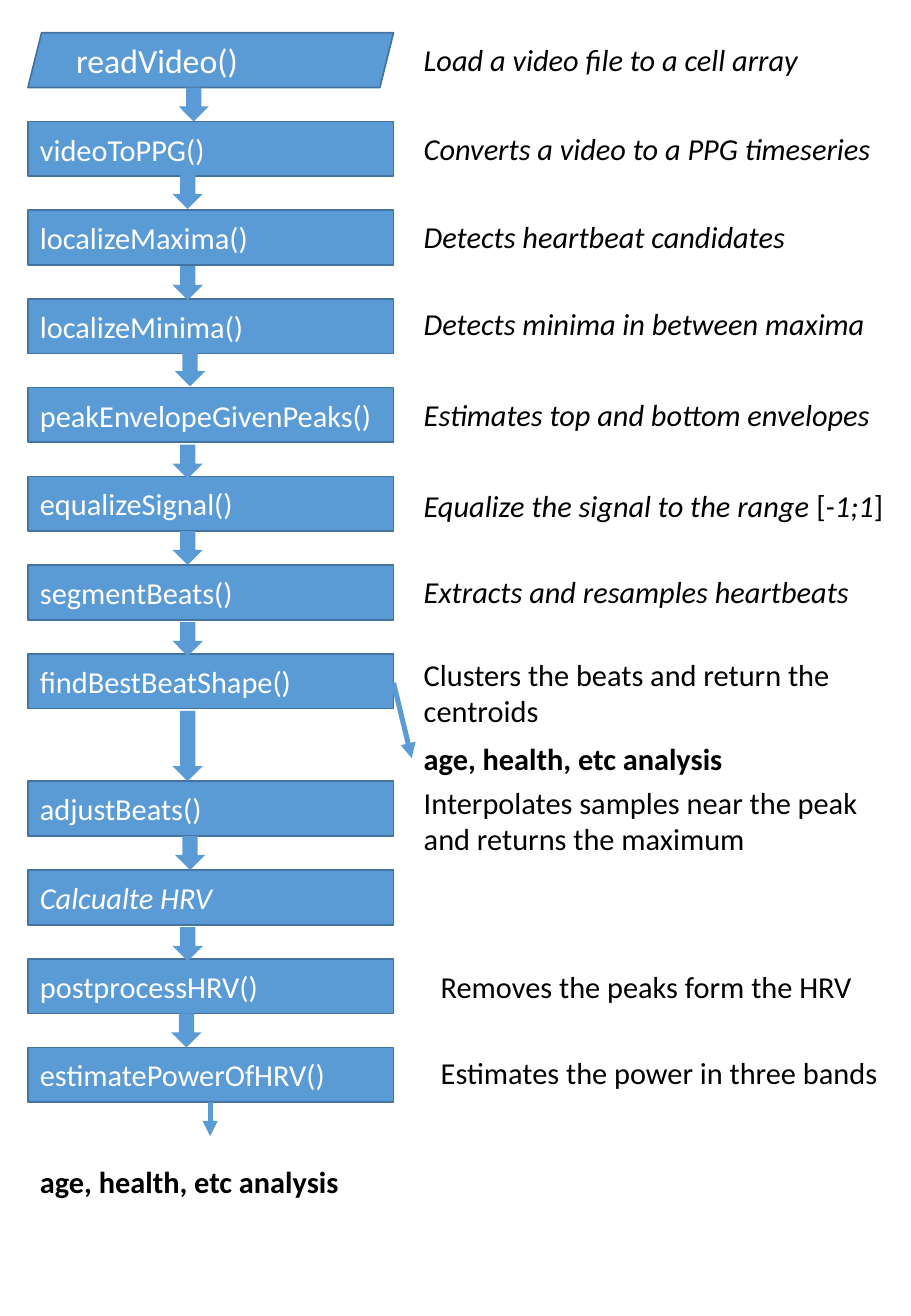
from dataclasses import dataclass

from lxml import etree
from pptx import Presentation
from pptx.dml.color import RGBColor
from pptx.enum.shapes import MSO_CONNECTOR, MSO_SHAPE
from pptx.enum.text import MSO_ANCHOR, MSO_AUTO_SIZE, PP_ALIGN
from pptx.oxml.ns import qn
from pptx.util import Inches, Pt

RECTANGLE = MSO_SHAPE.RECTANGLE
PARALLELOGRAM = MSO_SHAPE.PARALLELOGRAM
DOWN_ARROW = MSO_SHAPE.DOWN_ARROW
STRAIGHT = MSO_CONNECTOR.STRAIGHT
MIDDLE = MSO_ANCHOR.MIDDLE
TOP = MSO_ANCHOR.TOP
GROW = MSO_AUTO_SIZE.SHAPE_TO_FIT_TEXT
LEFT = PP_ALIGN.LEFT
JUSTIFY = PP_ALIGN.JUSTIFY

SLIDE_WIDTH, SLIDE_HEIGHT = Inches(7.5), Inches(10.83)
GRID_COLUMNS, GRID_ROWS = 750, 1083
FONT = "Calibri"
BLUE, OUTLINE, WHITE, BLACK = "5B9BD5", "43739E", "FFFFFF", "000000"

STEP_LEFT, STEP_WIDTH, STEP_HEIGHT = 23, 301, 45
FIRST_TOP, STEP_PITCH = 27, 73
BRANCH_INDEX, BRANCH_GAP = 7, 32
ARROW_WIDTH = 25
CAPTION_LEFT, LABEL_WIDTH, LINE_HEIGHT = 339, 331, 40


@dataclass(frozen=True)
class Run:
    text: str
    italic: bool = False
    bold: bool = False
    size: int = 18


@dataclass(frozen=True)
class Caption:
    runs: tuple[Run, ...]
    shift: int = 2
    left: int = CAPTION_LEFT
    width: int = 401
    height: int = LINE_HEIGHT


@dataclass(frozen=True)
class Step:
    name: Run
    caption: Caption | None
    arrow_left: int = 142
    arrow_shift: int = 0
    shape_type: MSO_SHAPE = RECTANGLE


@dataclass(frozen=True)
class Label:
    text: str
    left: int
    top: int


@dataclass(frozen=True)
class Link:
    start: tuple[int, int]
    end: tuple[int, int]


def italic_caption(text: str, shift: int = 2) -> Caption:
    return Caption((Run(text, italic=True),), shift)


def plain_caption(text: str, shift: int, left: int = CAPTION_LEFT,
                  width: int = 419, height: int = LINE_HEIGHT) -> Caption:
    return Caption((Run(text),), shift, left, width, height)


RANGE_CAPTION = Caption((
    Run("Equalize the signal to the range ", italic=True),
    Run("["),
    Run("-1;1", italic=True),
    Run("]"),
), shift=4)

STEPS = (
    Step(Run("readVideo()", size=20), italic_caption("Load a video file to a cell array"),
         147, shape_type=PARALLELOGRAM),
    Step(Run("videoToPPG()"), italic_caption("Converts a video to a PPG timeseries"),
         arrow_shift=-1),
    Step(Run("localizeMaxima()"), italic_caption("Detects heartbeat candidates"),
         arrow_shift=1),
    Step(Run("localizeMinima()"), italic_caption("Detects minima in between maxima", 0),
         144, -1),
    Step(Run("peakEnvelopeGivenPeaks()"),
         italic_caption("Estimates top and bottom envelopes"), arrow_shift=2),
    Step(Run("equalizeSignal()"), RANGE_CAPTION),
    Step(Run("segmentBeats()"), italic_caption("Extracts and resamples heartbeats"),
         arrow_shift=2),
    Step(Run("findBestBeatShape()"),
         plain_caption("Clusters the beats and return the centroids", -3,
                       width=411, height=71), arrow_shift=2),
    Step(Run("adjustBeats()"),
         plain_caption("Interpolates samples near the peak and returns the maximum", -3,
                       height=71), 144),
    Step(Run("Calcualte HRV", italic=True), None, arrow_shift=2),
    Step(Run("postprocessHRV()"),
         plain_caption("Removes the peaks form the HRV", 3, 353), 141),
    Step(Run("estimatePowerOfHRV()"),
         plain_caption("Estimates the power in three bands", 1, 353)),
)
LABELS = (
    Label("age, health, etc analysis", STEP_LEFT, 952),
    Label("age, health, etc analysis", CAPTION_LEFT, 604),
)
LINKS = (
    Link((173, 907), (173, 935)),
    Link((STEP_LEFT + STEP_WIDTH, 562), (CAPTION_LEFT, 624)),
)


def columns(count: int) -> int:
    return round(SLIDE_WIDTH * count / GRID_COLUMNS)


def rows(count: int) -> int:
    return round(SLIDE_HEIGHT * count / GRID_ROWS)


def color(value: str) -> RGBColor:
    return RGBColor.from_string(value)


def step_top(index: int) -> int:
    gap = BRANCH_GAP if index > BRANCH_INDEX else 0
    return FIRST_TOP + STEP_PITCH * index + gap


def write_runs(shape, runs: tuple[Run, ...], text_color: str, alignment, anchor) -> None:
    frame = shape.text_frame
    frame.word_wrap = True
    frame.vertical_anchor = anchor
    paragraph = frame.paragraphs[0]
    paragraph.alignment = alignment
    for item in runs:
        run = paragraph.add_run()
        run.text = item.text
        run.font.name = FONT
        run.font.size = Pt(item.size)
        run.font.italic = item.italic
        run.font.bold = item.bold
        run.font.color.rgb = color(text_color)


def add_blue_shape(slide, shape_type: MSO_SHAPE, left: int, top: int, width: int, height: int):
    shape = slide.shapes.add_shape(
        shape_type, columns(left), rows(top), columns(width), rows(height))
    shape.shadow.inherit = False
    shape.fill.solid()
    shape.fill.fore_color.rgb = color(BLUE)
    shape.line.fill.background()
    return shape


def add_step(slide, step: Step, index: int) -> None:
    shape = add_blue_shape(
        slide, step.shape_type, STEP_LEFT, step_top(index), STEP_WIDTH, STEP_HEIGHT)
    shape.line.color.rgb = color(OUTLINE)
    shape.line.width = Pt(1)
    write_runs(shape, (step.name,), WHITE, JUSTIFY, MIDDLE)


def add_arrow(slide, step: Step, index: int) -> None:
    bottom = step_top(index) + STEP_HEIGHT
    height = step_top(index + 1) - bottom
    if index == BRANCH_INDEX:
        height -= step.arrow_shift
    add_blue_shape(
        slide, DOWN_ARROW, step.arrow_left, bottom + step.arrow_shift, ARROW_WIDTH, height)


def add_text(slide, runs: tuple[Run, ...], left: int, top: int, width: int, height: int,
             alignment=LEFT) -> None:
    box = slide.shapes.add_textbox(columns(left), rows(top), columns(width), rows(height))
    write_runs(box, runs, BLACK, alignment, TOP)
    box.text_frame.auto_size = GROW


def add_link(slide, link: Link) -> None:
    connector = slide.shapes.add_connector(
        STRAIGHT, columns(link.start[0]), rows(link.start[1]),
        columns(link.end[0]), rows(link.end[1]))
    connector.line.color.rgb = color(BLUE)
    connector.line.width = Pt(3)
    etree.SubElement(connector.line._get_or_add_ln(), qn("a:tailEnd"), type="triangle")
    etree.SubElement(connector._element.spPr, qn("a:effectLst"))


def main() -> None:
    presentation = Presentation()
    presentation.slide_width, presentation.slide_height = SLIDE_WIDTH, SLIDE_HEIGHT
    slide = presentation.slides.add_slide(presentation.slide_layouts[6])
    for index, step in enumerate(STEPS):
        add_step(slide, step, index)
        caption = step.caption
        if caption:
            add_text(slide, caption.runs, caption.left, step_top(index) + caption.shift,
                     caption.width, caption.height)
    for label in LABELS:
        add_text(slide, (Run(label.text, bold=True),), label.left, label.top,
                 LABEL_WIDTH, LINE_HEIGHT, JUSTIFY)
    for link in LINKS:
        add_link(slide, link)
    for index, step in enumerate(STEPS[:-1]):
        add_arrow(slide, step, index)
    presentation.save("out.pptx")


if __name__ == "__main__":
    main()
